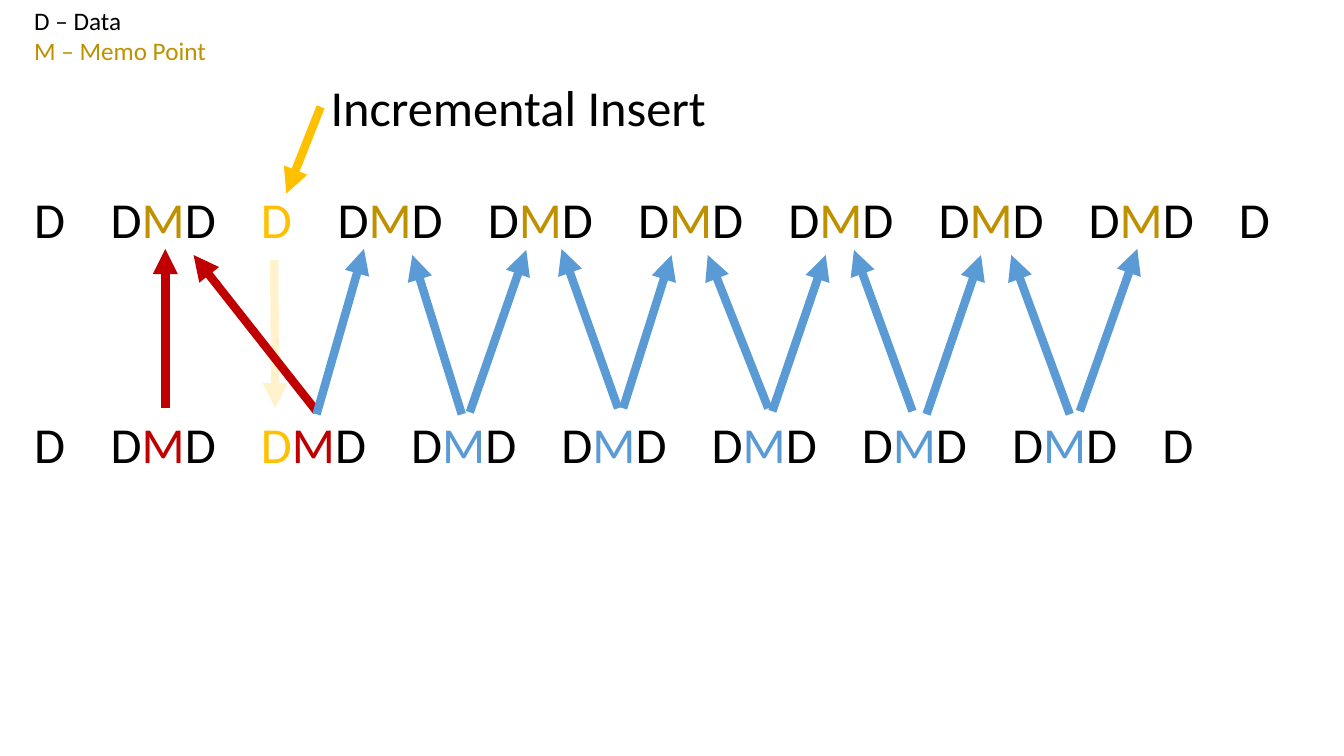
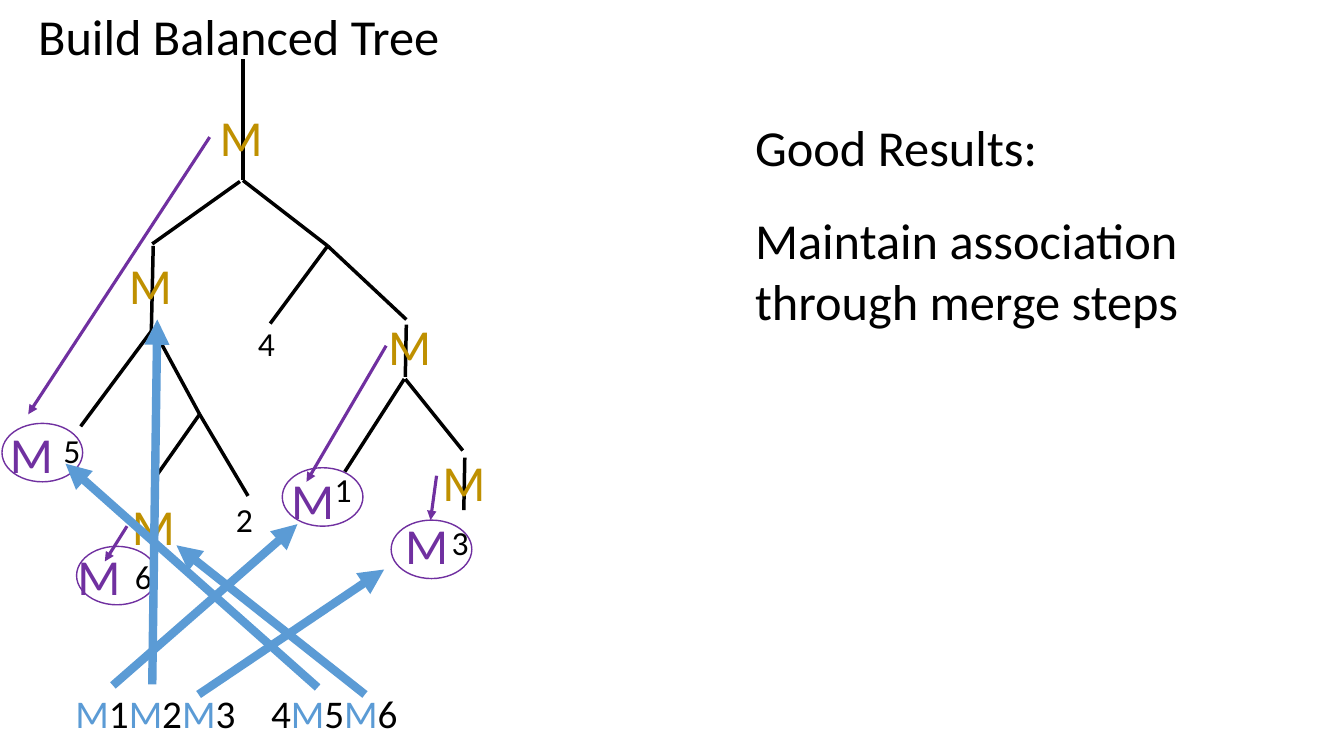
"""Build two slides on incremental inserts and balanced trees of memo points."""
from itertools import accumulate, groupby

from lxml.etree import SubElement
from pptx import Presentation
from pptx.dml.color import RGBColor
from pptx.enum.shapes import MSO_CONNECTOR as Connector, MSO_SHAPE as Shape
from pptx.enum.text import MSO_AUTO_SIZE as AutoSize
from pptx.oxml.ns import qn
from pptx.util import Inches, Pt

FONT = "Calibri"
INK, GOLD, YELLOW, PALE = "000000", "BF9000", "FFC000", "FFF2CC"
RED, BLUE, PURPLE = "C00000", "5B9BD5", "7030A0"
SYMBOLS = {"M": ("M", GOLD), "I": ("D", YELLOW), "R": ("M", RED), "B": ("M", BLUE)}
LINE_STYLES = {
    "branch": {"color": INK, "width": 2.5, "arrow": False},
    "move": {"color": PURPLE, "width": 2.25, "arrow": True},
    "link": {"color": BLUE, "width": 6, "arrow": True},
    "rebuilt": {"color": RED, "width": 6, "arrow": True},
    "insert": {"color": YELLOW, "width": 6, "arrow": True},
    "drop": {"color": PALE, "width": 6, "arrow": True},
}

LEGEND = [[("D – Data", INK)], [("M – Memo Point", GOLD)]]
DATA_ROWS = [
    (1.82, ["D", "DMD", "I"] + ["DMD"] * 6 + ["D"]),
    (4.05, ["D", "DRD", "IRD"] + ["DBD"] * 5 + ["D"]),
]
GROUP_WIDTHS = {1: 0.76, 3: 1.49}
INSERT_LINES = {
    "rebuilt": [(1.64, 4.05, 1.64, 2.47), (3.14, 4.08, 1.92, 2.53)],
    "insert": [(3.18, 1.06, 2.84, 1.92)],
    "link": [
        (4.58, 4.11, 4.09, 2.53), (6.13, 4.05, 5.57, 2.47),
        (7.62, 4.05, 7.02, 2.53), (9.05, 4.08, 8.47, 2.48),
        (10.61, 4.11, 10.03, 2.53), (3.14, 4.11, 3.61, 2.47),
        (4.66, 4.09, 5.22, 2.48), (6.18, 4.05, 6.66, 2.53),
        (7.66, 4.08, 8.19, 2.53), (9.19, 4.11, 9.73, 2.53),
        (10.71, 4.08, 11.28, 2.47),
    ],
}

BRANCHES = [
    (2.41, 0.59, 2.41, 1.79), (1.52, 3.26, 0.8, 4.23), (1.52, 3.26, 1.98, 4.11),
    (1.98, 4.11, 1.53, 4.75), (1.98, 4.11, 2.46, 4.92), (2.41, 1.79, 3.25, 2.44),
    (2.68, 3.21, 3.25, 2.44), (3.25, 2.44, 4.03, 3.17), (4.01, 3.76, 3.42, 4.68),
    (4.59, 4.47, 4.02, 3.76), (1.51, 2.42, 2.38, 1.8), (1.5, 3.33, 1.52, 2.44),
    (4.02, 3.74, 4.03, 3.22), (1.51, 5.64, 1.53, 4.76), (4.6, 5.06, 4.61, 4.54),
]
LEAVES = {"5": (0.53, 4.22), "2": (2.24, 4.9), "4": (2.46, 3.15),
          "3": (4.38, 5.13), "6": (1.24, 5.47), "1": (3.22, 4.6)}
MEMOS = {
    GOLD: [(2.08, 1), (1.18, 2.47), (4.29, 4.43), (3.75, 3.08), (1.21, 4.86)],
    PURPLE: [(3.92, 5.05), (2.79, 4.6), (0.67, 5.36), (0, 4.15)],
}
RINGS = [(0.76, 5.42), (3.88, 5.16), (2.8, 4.64), (0.02, 4.2)]
MOVES = [(2.08, 1.36, 0.28, 4.11), (1.26, 5.22, 1.04, 5.57),
         (3.83, 3.43, 3.04, 4.78), (4.33, 4.72, 4.27, 5.16)]
TREE_LINKS = [(1.51, 6.79, 1.56, 3.17), (1.97, 6.89, 3.81, 5.65),
              (1.12, 6.8, 2.95, 5.2), (3.15, 6.82, 0.65, 4.6),
              (3.62, 6.89, 1.75, 5.41)]
MERGE_ROW = "B1B2B3\t4B5B6"
RESULTS = [(1.1, 0.71, "Good Results:"),
           (2.03, 1.31, "Maintain association through merge steps")]


def rgb(value):
    """Turn a hex string into a colour."""
    return RGBColor.from_string(value)


def color_runs(symbols):
    """Turn symbols into runs, joining neighbours of one colour."""
    pairs = [SYMBOLS.get(symbol, (symbol, INK)) for symbol in symbols]
    return [("".join(text for text, _ in group), color)
            for color, group in groupby(pairs, key=lambda pair: pair[1])]


def add_text(slide, box, paragraphs, size=36, wrap=True, tabs=()):
    """Add a text box of coloured runs; a plain string is one black paragraph."""
    if isinstance(paragraphs, str):
        paragraphs = [[(paragraphs, INK)]]
    frame = slide.shapes.add_textbox(*map(Inches, box)).text_frame
    for name, value in {"word_wrap": wrap, "auto_size": AutoSize.SHAPE_TO_FIT_TEXT}.items():
        setattr(frame, name, value)
    for index, runs in enumerate(paragraphs):
        paragraph = frame.add_paragraph() if index else frame.paragraphs[0]
        if tabs:
            tab_list = SubElement(paragraph._p.get_or_add_pPr(), qn("a:tabLst"))
            for position in tabs:
                SubElement(tab_list, qn("a:tab"), pos=str(Inches(position)), algn="l")
        for text, color in runs:
            run = paragraph.add_run()
            run.text = text
            for name, value in {"name": FONT, "size": Pt(size)}.items():
                setattr(run.font, name, value)
            run.font.color.rgb = rgb(color)


def add_lines(slide, style_name, lines):
    """Add straight lines or arrows of one named style."""
    style = LINE_STYLES[style_name]
    for ends in lines:
        connector = slide.shapes.add_connector(Connector.STRAIGHT, *map(Inches, ends))
        connector.line.color.rgb = rgb(style["color"])
        connector.line.width = Pt(style["width"])
        properties = connector._element.spPr
        if style["arrow"]:
            SubElement(properties.find(qn("a:ln")), qn("a:tailEnd"), type="triangle")
        SubElement(properties, qn("a:effectLst"))


def add_ring(slide, left, top):
    """Add an unfilled ellipse around a moved memo point."""
    ring = slide.shapes.add_shape(Shape.OVAL, *map(Inches, (left, top, 0.8, 0.58)))
    ring.shadow.inherit = False
    ring.fill.background()
    ring.line.color.rgb = rgb(PURPLE)
    ring.line.width = Pt(1)


def build_insert(slide):
    """Draw the rows before and after the insert."""
    add_lines(slide, "drop", [(2.72, 2.58, 2.73, 4.05)])
    add_text(slide, (0.24, 0, 1.92, 0.71), LEGEND, size=18, wrap=False)
    add_text(slide, (3.18, 0.71, 6.26, 0.71), "Incremental Insert")
    for top, groups in DATA_ROWS:
        tabs = list(accumulate(GROUP_WIDTHS[len(group)] for group in groups[:-1]))
        add_text(slide, (0.24, top, 12.86, 0.71), [color_runs("\t".join(groups))], tabs=tabs)
    for style_name, lines in INSERT_LINES.items():
        add_lines(slide, style_name, lines)


def build_tree(slide):
    """Draw the balanced tree and its results."""
    add_text(slide, (0.28, 0, 4.31, 0.71), "Build Balanced Tree")
    add_lines(slide, "branch", BRANCHES)
    for digit, place in LEAVES.items():
        add_text(slide, (*place, 0.42, 0.57), digit, size=24, wrap=False)
    for color, places in MEMOS.items():
        for place in places:
            add_text(slide, (*place, 0.75, 0.71), [[("M", color)]])
    add_lines(slide, "move", MOVES)
    add_text(slide, (0.65, 6.79, 4.01, 0.57), [color_runs(MERGE_ROW)], size=28, tabs=[1.94])
    for place in RINGS:
        add_ring(slide, *place)
    for top, height, text in RESULTS:
        add_text(slide, (7.39, top, 5.34, height), text)
    add_lines(slide, "link", TREE_LINKS)


presentation = Presentation()
presentation.slide_width, presentation.slide_height = Inches(13.33), Inches(7.5)
for build in (build_insert, build_tree):
    build(presentation.slides.add_slide(presentation.slide_layouts[6]))
presentation.save("out.pptx")
